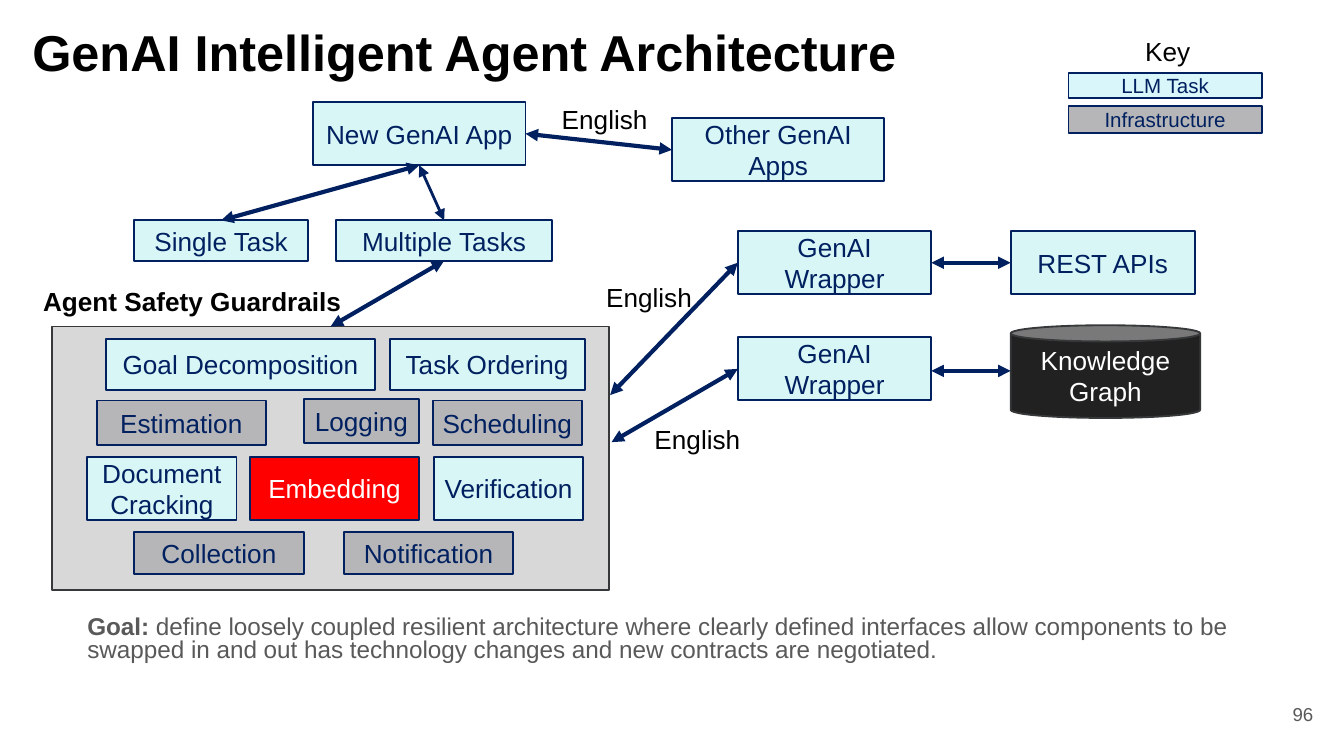
from dataclasses import dataclass
from typing import NamedTuple

from lxml.etree import SubElement
from pptx import Presentation
from pptx.dml.color import RGBColor as RGB
from pptx.enum.shapes import MSO_CONNECTOR as Line, MSO_SHAPE as Geo
from pptx.enum.text import MSO_ANCHOR as Anchor, MSO_AUTO_SIZE as Fit, PP_ALIGN as Align
from pptx.oxml.ns import qn
from pptx.util import Inches, Pt

GRID = 0.1
COLS, ROWS = 100, 56.25
TOP, LEFT, BOTTOM, RIGHT = range(4)


@dataclass(frozen=True)
class Theme:
    font: str = "Arial"
    navy: str = "002060"
    llm: str = "D9F6F7"
    llm_key: str = "D9F6FA"
    infra: str = "B6B6B8"
    alert: str = "FF0000"
    panel: str = "D8D8D8"
    store: str = "212121"
    edge: str = "363839"
    white: str = "FFFFFF"
    black: str = "000000"
    grey: str = "595959"
    title: float = 27
    label: float = 14
    goal: float = 13
    key: float = 11
    number: float = 10


T = Theme()


class Area(NamedTuple):
    col: float
    row: float
    cols: float
    rows: float


class Box(NamedTuple):
    text: str
    area: Area
    fill: str = T.llm
    color: str = T.navy
    size: float = T.label
    edge: str = T.navy
    geo: Geo = Geo.RECTANGLE


class Label(NamedTuple):
    text: str
    area: Area
    bold: bool = False


class Join(NamedTuple):
    shape: object
    side: int


class Spot(NamedTuple):
    col: float
    row: float


def unit(n: float) -> int:
    return Inches(n * GRID)


def place(area: Area) -> list[int]:
    return [unit(n) for n in area]


def style(obj, values: dict) -> None:
    for name, value in values.items():
        setattr(obj, name, value)


def set_font(item, size: float, color: str, bold: bool = False) -> None:
    style(item.font, {"name": T.font, "size": Pt(size), "bold": bold})
    item.font.color.rgb = RGB.from_string(color)


def set_frame(tf, inset_x: float, inset_y: float, anchor: Anchor = Anchor.TOP) -> None:
    style(tf, {"word_wrap": True, "auto_size": Fit.NONE, "vertical_anchor": anchor,
               "margin_left": Inches(inset_x), "margin_right": Inches(inset_x),
               "margin_top": Inches(inset_y), "margin_bottom": Inches(inset_y)})


def add_box(s, box: Box):
    sp = s.shapes.add_shape(box.geo, *place(box.area))
    sp.shadow.inherit = False
    sp.fill.solid()
    sp.fill.fore_color.rgb = RGB.from_string(box.fill)
    sp.line.color.rgb = RGB.from_string(box.edge)
    sp.line.width = Pt(1)
    tf = sp.text_frame
    set_frame(tf, 0.06, 0.04, Anchor.MIDDLE)
    if box.text:
        tf.text = box.text
        for p in tf.paragraphs:
            p.alignment = Align.CENTER
            set_font(p.runs[0], box.size, box.color)
    return sp


def add_label(s, label: Label) -> None:
    tf = s.shapes.add_textbox(*place(label.area)).text_frame
    set_frame(tf, 0.08, 0.04)
    r = tf.paragraphs[0].add_run()
    r.text = label.text
    set_font(r, T.label, T.black, label.bold)


def add_arrow(s, start: Join | Spot, end: Join | Spot, width: float = 2.25) -> None:
    spots = [unit(n) for e in (start, end) for n in (e if isinstance(e, Spot) else (0, 0))]
    cx = s.shapes.add_connector(Line.STRAIGHT, *spots)
    for point, connect in ((start, cx.begin_connect), (end, cx.end_connect)):
        if isinstance(point, Join):
            connect(point.shape, point.side)
    cx.line.color.rgb = RGB.from_string(T.navy)
    cx.line.width = Pt(width)
    ln = cx.line._get_or_add_ln()
    for tag in ("a:headEnd", "a:tailEnd"):
        SubElement(ln, qn(tag), type="triangle")
    SubElement(cx._element.spPr, qn("a:effectLst"))


def add_title(s, text: str) -> None:
    sp = s.shapes.title
    style(sp, dict(zip(("left", "top", "width", "height"), place(Area(2.4, 2.1, 93.2, 6.3)))))
    set_frame(sp.text_frame, 0, 0)
    p = sp.text_frame.paragraphs[0]
    style(p, {"alignment": Align.LEFT, "line_spacing": 0.9})
    r = p.add_run()
    r.text = text
    set_font(r, T.title, T.black, True)


def add_goal(s, lead: str, body: str) -> None:
    tf = s.shapes.add_textbox(*place(Area(6.5, 45.9, 86.2, 5.4))).text_frame
    set_frame(tf, 0, 0)
    p = tf.paragraphs[0]
    style(p, {"line_spacing": 0.8, "space_after": Pt(12)})
    for text, bold in ((lead, True), (body, False)):
        r = p.add_run()
        r.text = text
        set_font(r, T.goal, T.grey, bold)


def add_number(s, text: str) -> None:
    tf = s.shapes.add_textbox(*place(Area(92.7, 51, 6, 4.3))).text_frame
    set_frame(tf, 0.1, 0.1, Anchor.MIDDLE)
    p = tf.paragraphs[0]
    p.alignment = Align.RIGHT
    r = p.add_run()
    r.text = text
    set_font(r, T.number, T.grey)


def main() -> None:
    prs = Presentation()
    prs.slide_width, prs.slide_height = unit(COLS), unit(ROWS)
    s = prs.slides.add_slide(prs.slide_layouts[5])
    add_title(s, "GenAI Intelligent Agent Architecture")

    guardrails = add_box(s, Box("", Area(3.9, 24.3, 41.4, 19.6), T.panel, edge=T.edge))
    app = add_box(s, Box("New GenAI App", Area(23.3, 7.6, 15.8, 4.7)))
    others = add_box(s, Box("Other GenAI Apps", Area(50, 8.8, 15.8, 4.7)))
    single = add_box(s, Box("Single Task", Area(10, 16.4, 12.9, 3)))
    multiple = add_box(s, Box("Multiple Tasks", Area(25, 16.4, 16.1, 3)))
    api_wrapper, graph_wrapper = [
        add_box(s, Box("GenAI Wrapper", Area(54.9, row, 14.4, 4.7))) for row in (17.2, 25.1)]
    apis = add_box(s, Box("REST APIs", Area(75.2, 17.2, 13.7, 4.7)))
    add_box(s, Box("Knowledge\nGraph", Area(75.2, 24.2, 14.1, 6.9), T.store, T.white,
                   edge=T.edge, geo=Geo.CAN)).adjustments[0] = 0.175

    for box in (
        Box("Goal Decomposition", Area(7.9, 25.2, 20, 3.8)),
        Box("Task Ordering", Area(29, 25.2, 14.5, 3.8)),
        Box("Estimation", Area(7.2, 29.8, 12.6, 3.3), T.infra),
        Box("Logging", Area(22.6, 29.7, 8.6, 3.3), T.infra),
        Box("Scheduling", Area(32.2, 29.8, 11.1, 3.3), T.infra),
        Box("Document Cracking", Area(6.5, 34, 11.1, 4.7)),
        Box("Embedding", Area(18.6, 34, 12.6, 4.7), T.alert, T.white),
        Box("Verification", Area(32.3, 34, 11.1, 4.7)),
        Box("Collection", Area(10, 39.6, 12.6, 3.1), T.infra),
        Box("Notification", Area(25.6, 39.6, 12.6, 3.1), T.infra),
        Box("LLM Task", Area(79.5, 5.4, 14.4, 1.9), T.llm_key, size=T.key),
        Box("Infrastructure", Area(79.5, 7.9, 14.4, 2), T.infra, size=T.key),
    ):
        add_box(s, box)

    add_arrow(s, Join(app, RIGHT), Join(others, LEFT))
    add_arrow(s, Join(single, TOP), Join(app, BOTTOM))
    add_arrow(s, Join(multiple, TOP), Join(app, BOTTOM), 1.5)
    add_arrow(s, Join(guardrails, TOP), Join(multiple, BOTTOM))
    add_arrow(s, Join(api_wrapper, RIGHT), Join(apis, LEFT))
    add_arrow(s, Spot(69.3, 27.6), Spot(75.2, 27.6))
    add_arrow(s, Spot(45.4, 29.4), Join(api_wrapper, LEFT))
    add_arrow(s, Spot(45.5, 32.9), Join(graph_wrapper, LEFT))

    for col, row in ((41, 7.3), (44.3, 20.5), (47.9, 31.1)):
        add_label(s, Label("English", Area(col, row, 8, 3.1)))
    add_label(s, Label("Agent Safety Guardrails", Area(2.4, 20.8, 26.2, 3.1), True))
    add_label(s, Label("Key", Area(84.4, 2.2, 6.9, 3.1)))
    add_goal(s, "Goal:", " define loosely coupled resilient architecture where clearly defined "
             "interfaces allow components to be swapped in and out has technology changes "
             "and new contracts are negotiated.")
    add_number(s, "96")
    prs.save("out.pptx")


if __name__ == "__main__":
    main()
